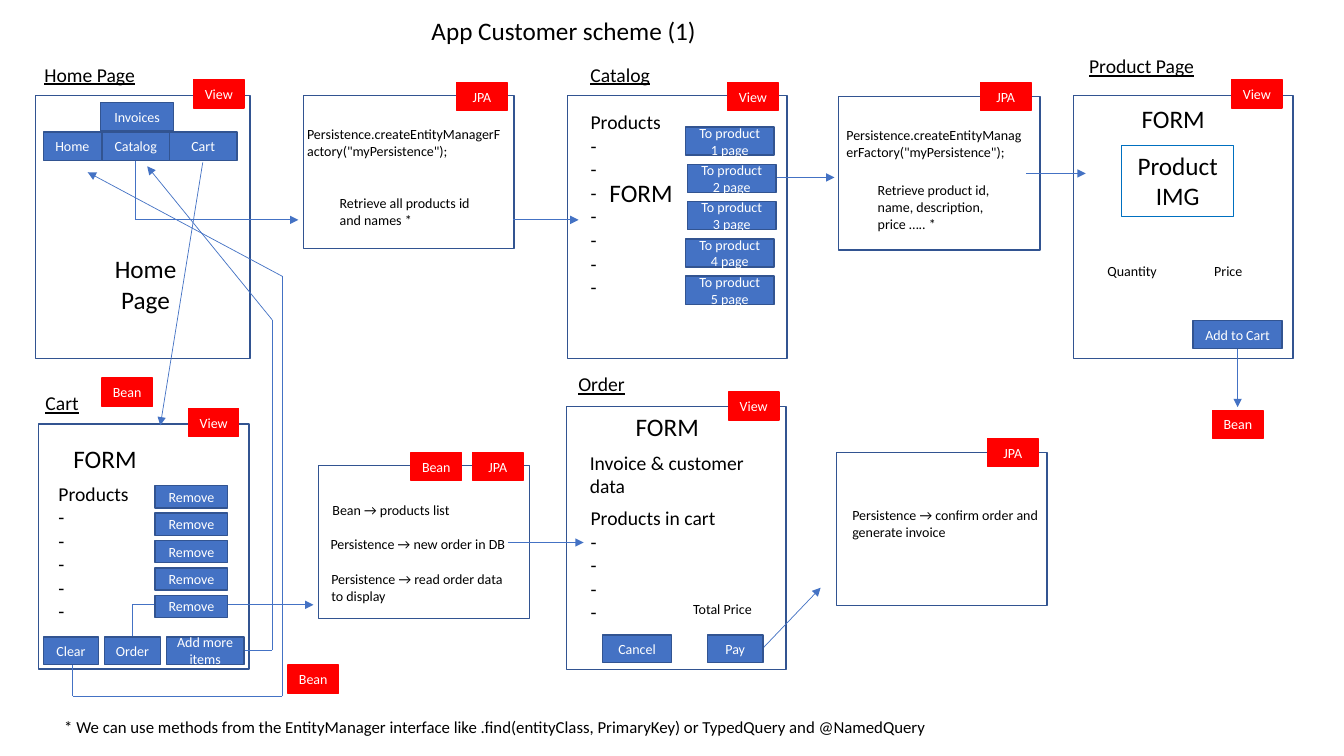
from itertools import pairwise

from lxml import etree
from pptx import Presentation
from pptx.dml.color import RGBColor
from pptx.enum.shapes import MSO_CONNECTOR, MSO_SHAPE
from pptx.enum.text import MSO_ANCHOR, MSO_AUTO_SIZE, PP_ALIGN
from pptx.oxml.ns import qn
from pptx.util import Cm, Pt

RECTANGLE = MSO_SHAPE.RECTANGLE
STRAIGHT = MSO_CONNECTOR.STRAIGHT
LEFT, CENTER = PP_ALIGN.LEFT, PP_ALIGN.CENTER
TOP, MIDDLE = MSO_ANCHOR.TOP, MSO_ANCHOR.MIDDLE
NO_AUTOFIT = MSO_AUTO_SIZE.NONE
COMPARISON_LAYOUT = 4


def color(hex_string):
    """Turn a hex string into a colour."""
    return RGBColor.from_string(hex_string)


def write_text(shape, text, size=10, fill="000000", align=LEFT, anchor=TOP, underline=False, font="Calibri"):
    """Fill a shape with text, one paragraph for each line."""
    frame = shape.text_frame
    frame.text = text
    frame.word_wrap = True
    frame.auto_size = NO_AUTOFIT
    frame.vertical_anchor = anchor
    for paragraph in frame.paragraphs:
        paragraph.alignment = align
        paragraph.space_before = Pt(0)
        for run in paragraph.runs:
            run.font.name = font
            run.font.size = Pt(size)
            run.font.bold = False
            run.font.underline = underline
            run.font.color.rgb = color(fill)


class Diagram:
    """Hold the style and the current slide of the page-flow diagram."""

    outline, accent, tag_fill, white = "325491", "4472C4", "FF0000", "FFFFFF"
    tag_size = (1.27, 0.71)

    def __init__(self, slide):
        """Keep the slide to draw on."""
        self.slide = slide

    def box(self, left, top, width, height, fill=None, line=outline, weight=1):
        """Add a rectangle."""
        shape = self.slide.shapes.add_shape(RECTANGLE, Cm(left), Cm(top), Cm(width), Cm(height))
        shape.shadow.inherit = False
        if fill:
            shape.fill.solid()
            shape.fill.fore_color.rgb = color(fill)
        else:
            shape.fill.background()
        shape.line.color.rgb = color(line)
        shape.line.width = Pt(weight)
        return shape

    def button(self, text, *bounds):
        """Add a blue button."""
        shape = self.box(*bounds, fill=self.accent)
        write_text(shape, text, fill=self.white, align=CENTER, anchor=MIDDLE)

    def tag(self, text, left, top):
        """Add a red tag that names a layer."""
        shape = self.box(left, top, *self.tag_size, fill=self.tag_fill, line=self.tag_fill)
        write_text(shape, text, fill=self.white, align=CENTER, anchor=MIDDLE)

    def label(self, text, left, top, width, height, **text_format):
        """Add a free text box."""
        shape = self.slide.shapes.add_textbox(Cm(left), Cm(top), Cm(width), Cm(height))
        write_text(shape, text, **text_format)

    def placeholder(self, index, text, left, top, width, height, **text_format):
        """Move a placeholder to the front and fill it without bullets."""
        shape = self.slide.placeholders[index]
        shape.left, shape.top, shape.width, shape.height = Cm(left), Cm(top), Cm(width), Cm(height)
        write_text(shape, text, **text_format)
        for properties in shape.element.iter(qn("a:pPr")):
            properties.set("marL", "0")
            properties.set("indent", "0")
            etree.SubElement(properties, qn("a:buNone"))
        shape.element.getparent().append(shape.element)

    def route(self, *points):
        """Join points by lines and end in an arrowhead."""
        for start, end in pairwise(points):
            connector = self.slide.shapes.add_connector(STRAIGHT, *map(Cm, start + end))
            connector.line.color.rgb = color(self.accent)
            connector.line.width = Pt(0.5)
            etree.SubElement(connector.element.spPr, qn("a:effectLst"))
        line = connector.element.spPr.find(qn("a:ln"))
        etree.SubElement(line, qn("a:tailEnd"), type="triangle")


presentation = Presentation()
presentation.slide_width, presentation.slide_height = Cm(33.87), Cm(19.05)
diagram = Diagram(presentation.slides.add_slide(presentation.slide_layouts[COMPARISON_LAYOUT]))

PAGE_SIZE, QUERY_SIZE = (5.54, 6.63), (5.31, 3.86)
FRAMES = [
    (0.89, 2.41, 5.41, 6.63), (0.97, 10.69, 5.31, 6.17), (21.13, 2.44, 5.08, 3.86),
    (14.3, 2.41, *PAGE_SIZE), (27.05, 2.41, *PAGE_SIZE), (14.27, 10.24, *PAGE_SIZE),
    (7.65, 2.41, *QUERY_SIZE), (8.03, 11.73, *QUERY_SIZE), (21.08, 11.4, *QUERY_SIZE),
]
for bounds in FRAMES:
    diagram.box(*bounds, fill=diagram.white)

ROUTES = [
    [(3.4, 4.06), (3.4, 5.54), (7.52, 5.54)],
    [(12.93, 5.54), (14.58, 5.54)],
    [(19.53, 4.47), (21.03, 4.47)],
    [(25.86, 4.37), (27.36, 4.37)],
    [(5.11, 4.09), (4.04, 10.72)],
    [(1.83, 16.71), (1.83, 17.55), (7.11, 17.55), (7.11, 6.96), (2.21, 4.34)],
    [(6.15, 16.38), (6.86, 16.38), (6.86, 8.06), (3.71, 4.19)],
    [(3.33, 16.05), (3.33, 15.24), (7.9, 15.24)],
    [(12.8, 13.67), (14.71, 13.67)],
    [(19.23, 16.33), (20.68, 14.81)],
    [(31.19, 8.79), (31.19, 10.26)],
]
for points in ROUTES:
    diagram.route(*points)

BUTTONS = [
    ("Invoices", 2.54, 2.59, 1.83, 0.71), ("Home", 1.09, 3.33, 1.47, 0.71),
    ("Catalog", 2.57, 3.33, 1.7, 0.71), ("Cart", 4.27, 3.33, 1.7, 0.71),
    ("Add to Cart", 30.07, 8.08, 2.24, 0.71),
    ("Clear", 1.09, 16.05, 1.4, 0.69), ("Order", 2.64, 16.05, 1.4, 0.69),
    ("Add more items", 4.19, 16.05, 1.96, 0.69),
    ("Cancel", 15.19, 16, 1.73, 0.69), ("Pay", 17.83, 16, 1.4, 0.69),
]
for button in BUTTONS:
    diagram.button(*button)
for row, left in enumerate((17.27, 17.32, 17.32, 17.27, 17.27)):
    diagram.button(f"To product {row + 1} page", left, 3.2 + 0.94 * row, 2.24, 0.71)
    diagram.button("Remove", 3.91, 12.24 + 0.69 * row, 1.83, 0.56)

TAGS = {
    "View": [(4.88, 2.01), (18.34, 2.08), (31.04, 2.01), (4.75, 10.29), (18.36, 9.88)],
    "JPA": [(11.51, 2.08), (24.71, 2.08), (11.91, 11.4), (24.89, 11.05)],
    "Bean": [(2.57, 9.53), (7.26, 16.76), (10.36, 11.4), (30.56, 10.34)],
}
for layer, positions in TAGS.items():
    for position in positions:
        diagram.tag(layer, *position)

HEADINGS = [
    ("Home Page", 0.81, 1.45, 2.9, CENTER), ("Catalog", 14.63, 1.45, 4.09, LEFT),
    ("Product Page", 27.03, 1.24, 3.48, CENTER), ("Cart", 0.74, 9.73, 1.65, CENTER),
    ("Order", 14.12, 9.25, 2.08, CENTER),
]
for text, left, top, width, align in HEADINGS:
    diagram.label(text, left, top, width, 0.86, size=14, align=align, underline=True)

for left, top in [(15.11, 4.34), (1.6, 11.05), (15.77, 10.24), (28.52, 2.49)]:
    diagram.label("FORM", left, top, 2.44, 1.02, size=18)
diagram.label("Home\nPage", 2.21, 6.27, 2.92, 1.8, size=18, align=CENTER)
product_image = diagram.box(28.27, 3.66, 2.82, 1.8, line="0070C0", weight=0.75)
write_text(product_image, "Product IMG", size=18, align=CENTER)

FACTORY_CALL = 'Persistence.createEntityManagerFactory("myPersistence");'
DETAILS = [
    (FACTORY_CALL, 7.49, 3.05, 5.41, 1.12),
    ("Retrieve all products id and names *", 8.31, 4.78, 3.86, 1.12),
    (FACTORY_CALL, 21.08, 3.07, 5.08, 1.12),
    ("Retrieve product id, name, description, price ….. *", 21.87, 4.45, 3.86, 1.55),
    ("Quantity", 27.66, 6.48, 2.44, 0.69),
    ("Price", 30.35, 6.48, 1.7, 0.69),
    ("Bean → products list", 8.13, 12.52, 4.24, 0.69),
    ("Persistence → new order in DB", 8.08, 13.36, 5.18, 0.69),
    ("Persistence → read order data to display", 8.1, 14.25, 5.18, 1.12),
    ("Persistence → confirm order and generate invoice", 21.23, 12.65, 5.18, 1.12),
    ("Total Price", 17.22, 15.01, 2.24, 0.69),
]
for detail in DETAILS:
    diagram.label(*detail)
diagram.label(
    "* We can use methods from the EntityManager interface like .find(entityClass, PrimaryKey) "
    "or TypedQuery and @NamedQuery", 1.37, 17.93, 31.12, 0.76, size=12)

diagram.placeholder(0, "App Customer scheme (1)", 10.62, 0.25, 7.21, 1.02, size=18)
LISTS = [
    ("Products" + "\n-" * 7, 14.63, 2.65, 2.6, 5.03),
    ("Products" + "\n-" * 5, 1.22, 12.01, 2.6, 3.84),
    ("Invoice & customer data", 14.61, 11.23, 4.9, 1.45),
    ("Products in cart" + "\n-" * 4, 14.63, 12.62, 4.09, 3.25),
]
for index, content in enumerate(LISTS, start=1):
    diagram.placeholder(index, *content, size=14)

presentation.save("out.pptx")
